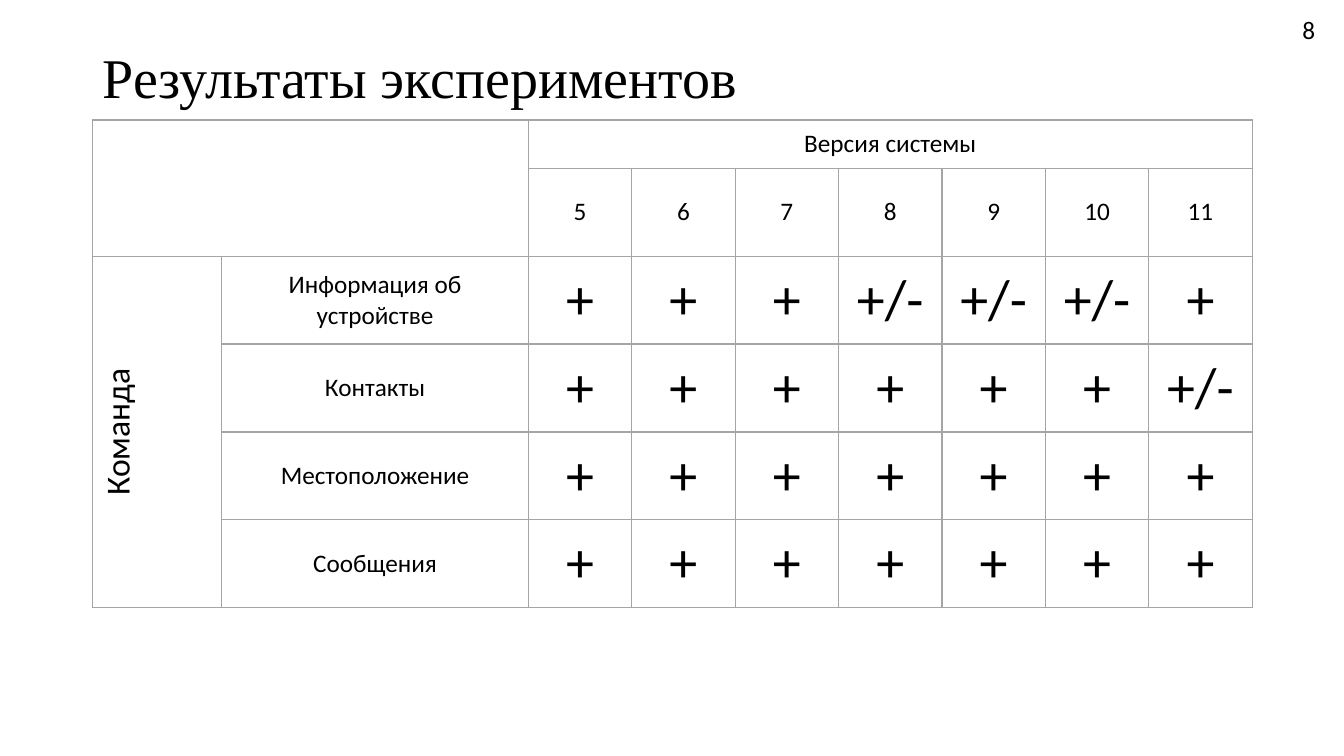
import dataclasses

import lxml.etree
import pptx
import pptx.dml.color
import pptx.enum.text
import pptx.oxml.ns
import pptx.util

Inches = pptx.util.Inches
Align = pptx.enum.text.PP_ALIGN
Anchor = pptx.enum.text.MSO_ANCHOR
Fit = pptx.enum.text.MSO_AUTO_SIZE


@dataclasses.dataclass(frozen=True)
class Theme:
    ink: str = "000000"
    rule: str = "A5A5A5"
    head: str = "Times New Roman"
    body: str = "Calibri"
    small: int = 18
    mid: int = 24
    large: int = 40
    line: int = 1


def write(frame, text, *, size, font, color, align=Align.LEFT, space=None):
    """Put one formatted line of text into a frame."""
    para = frame.paragraphs[0]
    para.alignment = align
    para.line_spacing = space
    run = para.add_run()
    run.text = text
    run.font.size = pptx.util.Pt(size)
    run.font.name = font
    run.font.color.rgb = pptx.dml.color.RGBColor.from_string(color)


class Page:
    def __init__(self, slide, theme):
        self.slide = slide
        self.theme = theme

    def title(self, text, left, top, width, height):
        shape = self.slide.shapes.title
        shape.left, shape.top = Inches(left), Inches(top)
        shape.width, shape.height = Inches(width), Inches(height)
        frame = shape.text_frame
        frame.vertical_anchor = Anchor.MIDDLE
        write(frame, text, size=self.theme.large, font=self.theme.head,
              color=self.theme.ink, space=0.9)

    def label(self, text, left, top, width, height):
        box = self.slide.shapes.add_textbox(
            Inches(left), Inches(top), Inches(width), Inches(height))
        frame = box.text_frame
        frame.word_wrap = False
        frame.auto_size = Fit.SHAPE_TO_FIT_TEXT
        write(frame, text, size=self.theme.small, font=self.theme.body,
              color=self.theme.ink)

    def table(self, left, top, cols, rows):
        frame = self.slide.shapes.add_table(
            len(rows), len(cols), Inches(left), Inches(top),
            Inches(sum(cols)), Inches(sum(rows)))
        grid = frame.table
        grid.first_row = grid.horz_banding = False
        for col, width in zip(grid.columns, cols):
            col.width = Inches(width)
        for row, height in zip(grid.rows, rows):
            row.height = Inches(height)
        for cell in grid.iter_cells():
            cell.fill.background()
            self.border(cell)
        return grid

    def border(self, cell):
        qn = pptx.oxml.ns.qn
        props = cell._tc.get_or_add_tcPr()
        for spot, side in enumerate(("lnL", "lnR", "lnT", "lnB")):
            line = lxml.etree.Element(qn(f"a:{side}"))
            line.set("w", str(pptx.util.Pt(self.theme.line)))
            fill = lxml.etree.SubElement(line, qn("a:solidFill"))
            color = lxml.etree.SubElement(fill, qn("a:srgbClr"))
            color.set("val", self.theme.rule)
            props.insert(spot, line)

    def cell(self, cell, text, size, turn=False):
        cell.vertical_anchor = Anchor.MIDDLE
        if turn:
            cell._tc.get_or_add_tcPr().set("vert", "vert270")
        write(cell.text_frame, text, size=size, font=self.theme.body,
              color=self.theme.ink, align=Align.CENTER)


def main():
    deck = pptx.Presentation()
    deck.slide_width, deck.slide_height = Inches(13.33), Inches(7.5)
    theme = Theme()
    page = Page(deck.slides.add_slide(deck.slide_layouts[5]), theme)

    # Title and page number
    page.title("Результаты экспериментов", 0.92, 0.4, 11.46, 0.8)
    page.label("8", 12.82, 0.09, 0.33, 0.4)

    # Results by command and system version
    marks = range(5, 12)
    tests = {
        "Информация об устройстве": {8, 9, 10},
        "Контакты": {11},
        "Местоположение": set(),
        "Сообщения": set(),
    }
    side, names, first = 1.28, 3.04, 0.48
    step = (11.5 - side - names) / len(marks)
    tall = (4.84 - first) / (len(tests) + 1)
    grid = page.table(0.92, 1.19, [side, names] + [step] * len(marks),
                      [first] + [tall] * (len(tests) + 1))

    # Merged headings
    grid.cell(0, 0).merge(grid.cell(1, 1))
    grid.cell(0, 2).merge(grid.cell(0, 8))
    grid.cell(2, 0).merge(grid.cell(5, 0))
    page.cell(grid.cell(0, 2), "Версия системы", theme.small)
    page.cell(grid.cell(2, 0), "Команда", theme.mid, turn=True)

    # Versions, commands and marks
    for col, mark in enumerate(marks, 2):
        page.cell(grid.cell(1, col), str(mark), theme.small)
    for row, (name, partial) in enumerate(tests.items(), 2):
        page.cell(grid.cell(row, 1), name, theme.small)
        for col, mark in enumerate(marks, 2):
            sign = "+/-" if mark in partial else "+"
            page.cell(grid.cell(row, col), sign, theme.large)

    deck.save("out.pptx")


if __name__ == "__main__":
    main()
